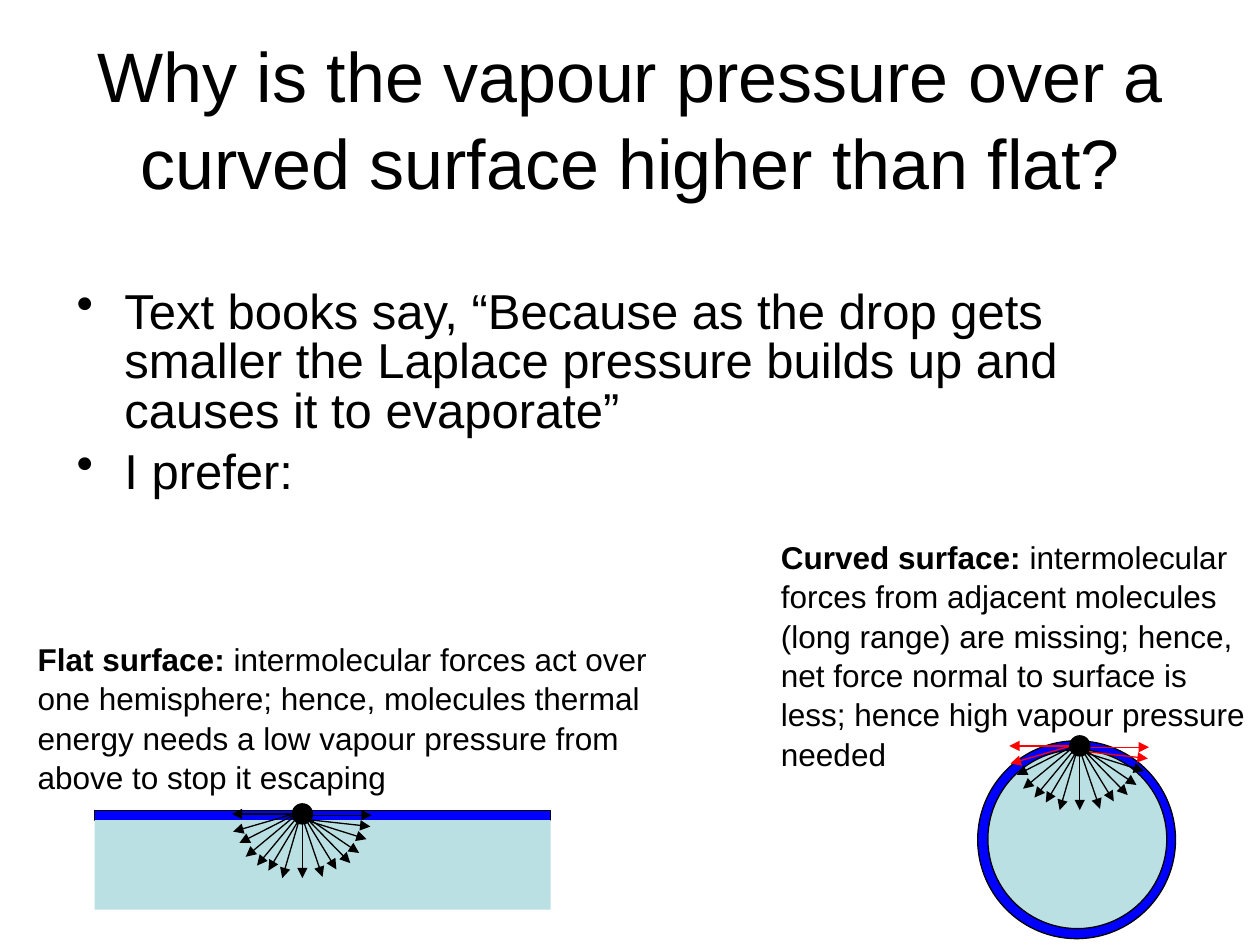
import dataclasses

import pptx
import pptx.dml.color
import pptx.enum.shapes
import pptx.enum.text
import pptx.oxml
import pptx.oxml.ns
import pptx.util

COLUMNS, ROWS = 100, 75
CELL = pptx.util.Inches(10) // COLUMNS
SHAPE = pptx.enum.shapes.MSO_SHAPE

# Each force: start and end, in grid cells from the molecule's centre.
# They run clockwise from the right-hand side.
FORCES = [
    ((0, 0.1), (5.5, 0.1)),
    ((0, 0.4), (5.4, 1)),
    ((0.3, 0.5), (5.1, 2)),
    ((-0.2, -0.1), (4.5, 3.1)),
    ((-0.1, -0.1), (3.8, 3.9)),
    ((0.3, 0.5), (2.7, 4.4)),
    ((0, 0.3), (1.6, 5)),
    ((0, 0.4), (0, 5.1)),
    ((0, -0.4), (-1.6, 5.1)),
    ((-0.3, 0.5), (-2.7, 4.5)),
    ((0.3, -0.6), (-3.6, 4.1)),
    ((0.2, -0.5), (-4.5, 3.4)),
    ((-0.3, -0.1), (-5, 2.3)),
    ((0, -0.2), (-5.5, 1.4)),
    ((-0.1, 0), (-5.6, 0)),
]
MISSING_FORCES = {0, 1, 13, 14}


@dataclasses.dataclass(frozen=True)
class Theme:
    font: str = "Arial"
    title_size: int = 40
    body_size: int = 28
    label_size: int = 18
    line_width: float = 0.75
    line_spacing: float = 1.04
    body_spacing: float = 0.84
    ink: str = "000000"
    surface: str = "0000FF"
    liquid: str = "BBE0E3"
    missing: str = "FF0000"


THEME = Theme()


def rgb(value):
    return pptx.dml.color.RGBColor.from_string(value)


def cells(*counts):
    return [round(count * CELL) for count in counts]


def format_paragraph(para, size, spacing=THEME.line_spacing):
    para.line_spacing = spacing
    for span in para.runs:
        span.font.name = THEME.font
        span.font.size = pptx.util.Pt(size)
        span.font.color.rgb = rgb(THEME.ink)


def set_title(page, text):
    title = page.shapes.title
    title.left, title.top, title.width, title.height = cells(5, 3, 90, 12.5)
    frame = title.text_frame
    frame.text = text
    frame.auto_size = pptx.enum.text.MSO_AUTO_SIZE.NONE
    frame.vertical_anchor = pptx.enum.text.MSO_ANCHOR.MIDDLE
    para = frame.paragraphs[0]
    para.alignment = pptx.enum.text.PP_ALIGN.CENTER
    format_paragraph(para, THEME.title_size)


def add_text_box(page, *area):
    frame = page.shapes.add_textbox(*cells(*area)).text_frame
    frame.word_wrap = True
    return frame


def add_bullets(page, area, items):
    frame = add_text_box(page, *area)
    for index, item in enumerate(items):
        para = frame.paragraphs[0] if index == 0 else frame.add_paragraph()
        para.text = item
        format_paragraph(para, THEME.body_size, THEME.body_spacing)
        if index:
            para.space_before = pptx.util.Pt(7)
        indent = cells(3.8)[0]
        properties = para._p.get_or_add_pPr()
        properties.set("marL", str(indent))
        properties.set("indent", str(-indent))
        bullet = pptx.oxml.parse_xml(
            f'<a:buChar {pptx.oxml.ns.nsdecls("a")} char="•"/>')
        properties.append(bullet)


def add_label(page, area, heading, explanation):
    para = add_text_box(page, *area).paragraphs[0]
    para.text = heading
    para.runs[0].font.bold = True
    para.add_run().text = explanation
    format_paragraph(para, THEME.label_size)


def add_solid(page, kind, area, fill, outlined=True):
    solid = page.shapes.add_shape(kind, *cells(*area))
    solid.shadow.inherit = False
    solid.fill.solid()
    solid.fill.fore_color.rgb = rgb(fill)
    if outlined:
        solid.line.color.rgb = rgb(THEME.ink)
        solid.line.width = pptx.util.Pt(THEME.line_width)
    else:
        solid.line.fill.background()


def add_arrow(page, start, end, color):
    arrow = page.shapes.add_connector(
        pptx.enum.shapes.MSO_CONNECTOR.STRAIGHT, *cells(*start, *end))
    arrow.line.color.rgb = rgb(color)
    arrow.line.width = pptx.util.Pt(THEME.line_width)
    namespace = pptx.oxml.ns.nsdecls("a")
    arrow.line._get_or_add_ln().append(
        pptx.oxml.parse_xml(f'<a:tailEnd {namespace} type="triangle"/>'))
    arrow._element.spPr.append(
        pptx.oxml.parse_xml(f"<a:effectLst {namespace}/>"))


def add_molecule(page, x, y, missing=()):
    """Draw a surface molecule and its forces; missing ones are highlighted."""
    for index, (start, end) in enumerate(FORCES):
        color = THEME.missing if index in missing else THEME.ink
        add_arrow(page, (x + start[0], y + start[1]),
                  (x + end[0], y + end[1]), color)
    radius = 0.8
    add_solid(page, SHAPE.OVAL,
              (x - radius, y - radius, 2 * radius, 2 * radius), THEME.ink)


def add_flat_surface(page):
    add_solid(page, SHAPE.RECTANGLE, (7.5, 64.3, 36.2, 0.8), THEME.surface)
    add_solid(page, SHAPE.RECTANGLE, (7.5, 65.1, 36.2, 7.1), THEME.liquid,
              outlined=False)
    add_molecule(page, 24, 64.6)
    add_label(page, (2, 50.2, 52.8, 13), "Flat surface:",
              " intermolecular forces act over one hemisphere; hence, "
              "molecules thermal energy needs a low vapour pressure from "
              "above to stop it escaping")


def add_curved_surface(page):
    add_solid(page, SHAPE.OVAL, (77.6, 58.8, 15.7, 15.7), THEME.surface)
    add_solid(page, SHAPE.OVAL, (78.4, 59.5, 14.2, 14.2), THEME.liquid)
    add_molecule(page, 85.7, 59.2, MISSING_FORCES)
    add_label(page, (61, 42.1, 39, 19), "Curved surface:",
              " intermolecular forces from adjacent molecules (long range) "
              "are missing; hence, net force normal to surface is less; "
              "hence high vapour pressure needed")


def main():
    deck = pptx.Presentation()
    deck.slide_width, deck.slide_height = COLUMNS * CELL, ROWS * CELL
    page = deck.slides.add_slide(deck.slide_layouts.get_by_name("Title Only"))
    set_title(page, "Why is the vapour pressure over a curved surface "
                    "higher than flat?")
    add_bullets(page, (5.1, 22.5, 90, 25.5), [
        "Text books say, “Because as the drop gets smaller the Laplace "
        "pressure builds up and causes it to evaporate”",
        "I prefer:",
    ])
    add_flat_surface(page)
    add_curved_surface(page)
    deck.save("out.pptx")


if __name__ == "__main__":
    main()
